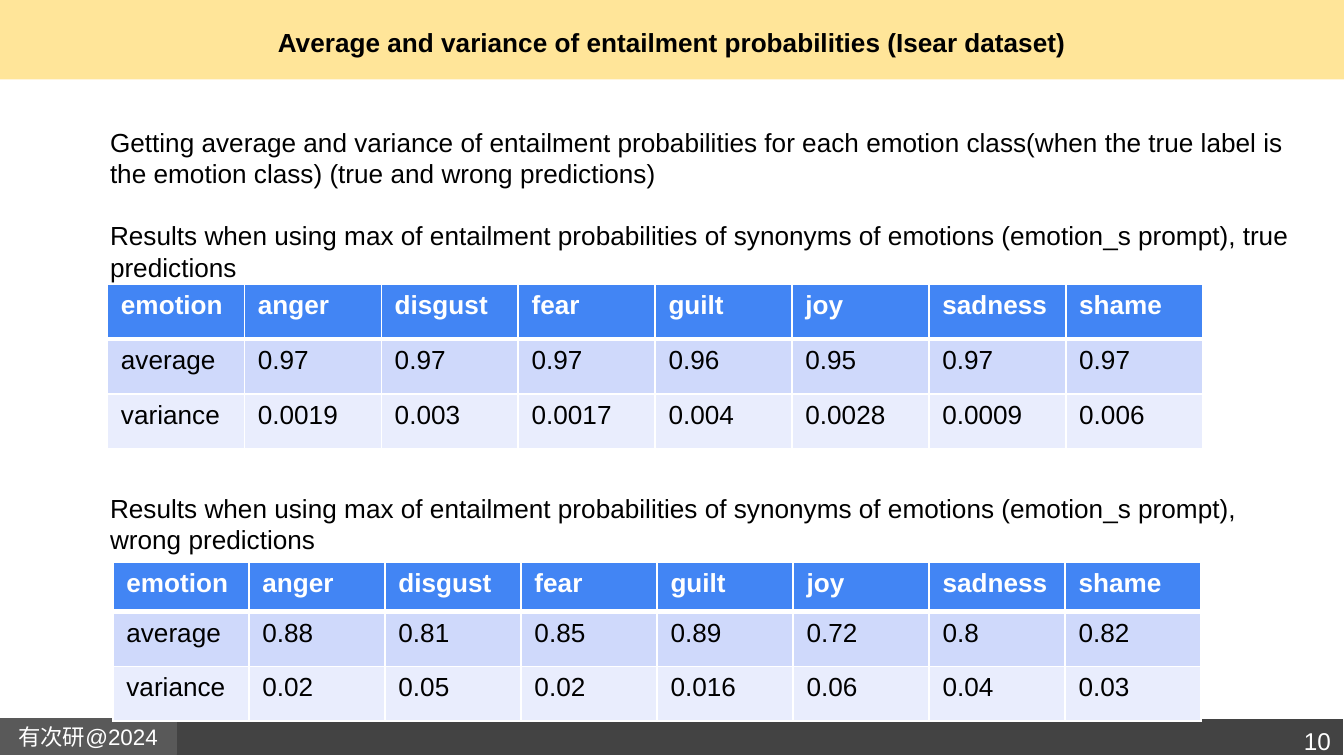
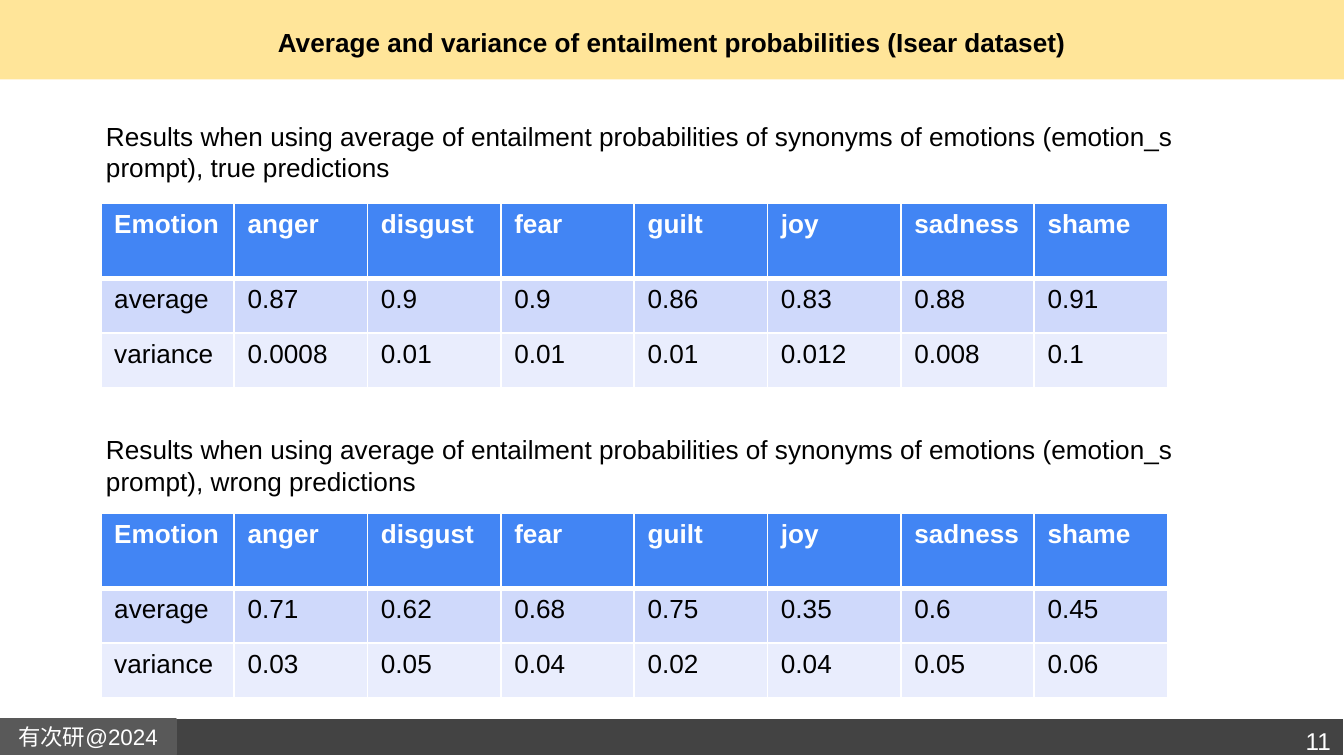
from lxml.etree import SubElement
from pptx import Presentation
from pptx.dml.color import RGBColor
from pptx.enum.shapes import MSO_SHAPE
from pptx.enum.text import MSO_ANCHOR, PP_ALIGN
from pptx.oxml.ns import qn
from pptx.util import Inches, Pt

SLIDE_W, SLIDE_H = Inches(10), Inches(5.625)
COL, ROW = SLIDE_W / 100, SLIDE_H / 100  # grid of 100 columns and 100 rows

BLACK = RGBColor(0x00, 0x00, 0x00)
WHITE = RGBColor(0xFF, 0xFF, 0xFF)
TITLE_BAND = RGBColor(0xFF, 0xE5, 0x99)
FOOTER_BAND = RGBColor(0x43, 0x43, 0x43)
LAB_TAG = RGBColor(0x59, 0x59, 0x59)
HEADER_FILL = RGBColor(0x42, 0x85, 0xF4)
AVERAGE_FILL = RGBColor(0xCF, 0xD9, 0xFB)
VARIANCE_FILL = RGBColor(0xE9, 0xED, 0xFD)

FONT = "Arial"
TITLE = "Average and variance of entailment probabilities (Isear dataset)"
EMOTIONS = "anger disgust fear guilt joy sadness shame".split()
RESULTS = ("Results when using {} of entailment probabilities of synonyms "
           "of emotions (emotion_s prompt), {} predictions")
VALUE_ROW = 7.25  # height of an average or variance row


def grid(left, top, width, height):
    return [round(n) for n in (left * COL, top * ROW, width * COL, height * ROW)]


def write(frame, *paragraphs, size=14, color=BLACK, bold=False,
          align=PP_ALIGN.LEFT, anchor=MSO_ANCHOR.TOP, inset=None, gap=0):
    frame.word_wrap = True
    frame.vertical_anchor = anchor
    if inset is not None:
        frame.margin_top = frame.margin_bottom = inset
    for i, text in enumerate(paragraphs):
        paragraph = frame.add_paragraph() if i else frame.paragraphs[0]
        paragraph.alignment = align
        if i:
            paragraph.space_before = Pt(gap)
        run = paragraph.add_run()
        run.text = text
        run.font.name, run.font.size = FONT, Pt(size)
        run.font.bold, run.font.color.rgb = bold, color


def add_text(slide, box, *paragraphs, **style):
    write(slide.shapes.add_textbox(*grid(*box)).text_frame, *paragraphs, **style)


def add_band(slide, box, fill, line=None):
    band = slide.shapes.add_shape(MSO_SHAPE.RECTANGLE, *grid(*box))
    band.shadow.inherit = False
    band.fill.solid()
    band.fill.fore_color.rgb = fill
    if line is None:
        band.line.fill.background()
    else:
        band.line.color.rgb = line
        band.line.width = Pt(0.75)
    return band


def add_frame(slide, number):
    # Title band, footer band and lab tag
    add_band(slide, (0, 0, 100, 10.5), TITLE_BAND)
    add_band(slide, (0, 95, 100, 5), FOOTER_BAND, WHITE)
    tag = add_band(slide, (0, 95.1, 13.1, 4.7), LAB_TAG, LAB_TAG)
    centred = dict(align=PP_ALIGN.CENTER, anchor=MSO_ANCHOR.MIDDLE, inset=Inches(0.1))
    write(tag.text_frame, "有次研@2024", size=12, color=WHITE, **centred)
    # Title and slide number
    add_text(slide, (3.4, 0, 93.2, 11.2), TITLE, bold=True, **centred)
    add_text(slide, (89.5, 94.3, 10.5, 5.7), str(number), size=13, color=WHITE,
             align=PP_ALIGN.RIGHT, inset=Inches(0.1))


def add_border(cell, side, width):
    edge = SubElement(cell._tc.get_or_add_tcPr(), qn(f"a:ln{side}"), w=str(Pt(width)))
    fill = SubElement(edge, qn("a:solidFill"))
    SubElement(fill, qn("a:srgbClr"), val=str(WHITE))


def add_results(slide, left, top, width, header_row, label, averages, variances):
    rows = [
        ([label, *EMOTIONS], header_row, HEADER_FILL),
        (["average", *averages.split()], VALUE_ROW, AVERAGE_FILL),
        (["variance", *variances.split()], VALUE_ROW, VARIANCE_FILL),
    ]
    columns = len(EMOTIONS) + 1
    box = grid(left, top, width, sum(height for _, height, _ in rows))
    table = slide.shapes.add_table(len(rows), columns, *box).table
    for column in table.columns:
        column.width = round(width * COL / columns)
    for r, (values, height, fill) in enumerate(rows):
        header = r == 0
        table.rows[r].height = round(height * ROW)
        for c, value in enumerate(values):
            cell = table.cell(r, c)
            # The edge under the header belongs to the header cells
            sides = dict(L=1, R=1, T=1, B=3) if header else dict(L=1, R=1, B=1)
            for side, weight in sides.items():
                add_border(cell, side, weight)
            cell.fill.solid()
            cell.fill.fore_color.rgb = fill
            write(cell.text_frame, value, bold=header,
                  color=WHITE if header else BLACK)


def build_max_slide(slide):
    add_frame(slide, 10)
    # True predictions
    add_text(slide, (7.2, 15.8, 91.8, 21.5),
             "Getting average and variance of entailment probabilities for each "
             "emotion class(when the true label is the emotion class) "
             "(true and wrong predictions)",
             RESULTS.format("max", "true"), gap=16.5)
    add_results(slide, 8, 37.6, 81.5, VALUE_ROW, "emotion",
                "0.97 0.97 0.97 0.96 0.95 0.97 0.97",
                "0.0019 0.003 0.0017 0.004 0.0028 0.0009 0.006")
    # Wrong predictions
    add_text(slide, (7.2, 64.2, 87.5, 10), RESULTS.format("max", "wrong"))
    add_results(slide, 8.4, 74.4, 81, 6.5, "emotion",
                "0.88 0.81 0.85 0.89 0.72 0.8 0.82",
                "0.02 0.05 0.02 0.016 0.06 0.04 0.03")


def build_average_slide(slide):
    add_frame(slide, 11)
    blocks = [
        ("true", 15, 26.9, "0.87 0.9 0.9 0.86 0.83 0.88 0.91",
         "0.0008 0.01 0.01 0.01 0.012 0.008 0.1"),
        ("wrong", 56.5, 67.9, "0.71 0.62 0.68 0.75 0.35 0.6 0.45",
         "0.03 0.05 0.04 0.02 0.04 0.05 0.06"),
    ]
    for outcome, caption_top, table_top, averages, variances in blocks:
        add_text(slide, (6.9, caption_top, 84.1, 10), RESULTS.format("average", outcome))
        add_results(slide, 7.5, table_top, 79.4, 9.9, "Emotion", averages, variances)


def main():
    deck = Presentation()
    deck.slide_width, deck.slide_height = SLIDE_W, SLIDE_H
    for build in (build_max_slide, build_average_slide):
        build(deck.slides.add_slide(deck.slide_layouts[6]))
    deck.save("out.pptx")


if __name__ == "__main__":
    main()
